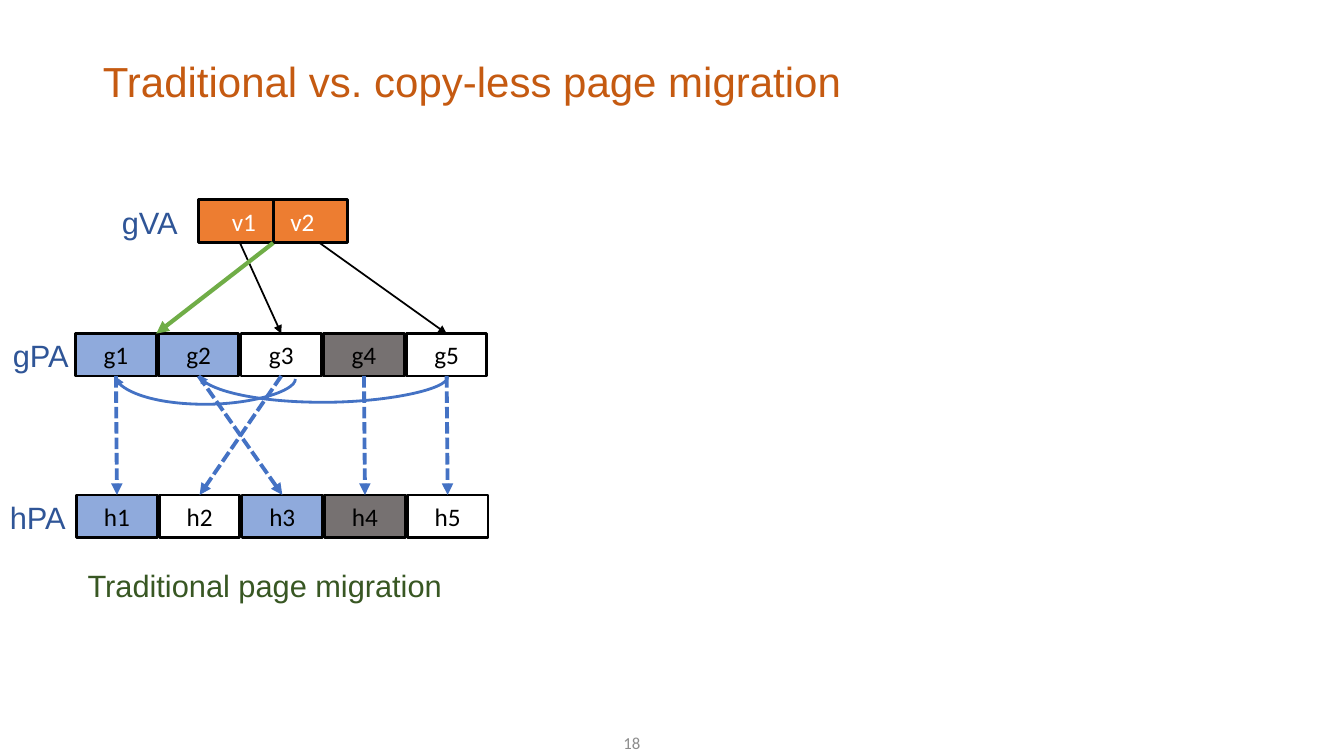
from lxml import etree
from pptx import Presentation
from pptx.dml.color import RGBColor
from pptx.enum.dml import MSO_LINE
from pptx.enum.shapes import MSO_CONNECTOR, MSO_SHAPE
from pptx.enum.text import MSO_ANCHOR, MSO_AUTO_SIZE, PP_ALIGN
from pptx.oxml.ns import qn
from pptx.util import Pt

PX = 9144  # EMU per px, 100 px to the inch
STRAIGHT, CURVE = MSO_CONNECTOR.STRAIGHT, MSO_CONNECTOR.CURVE
LEFT, CENTER, RIGHT = PP_ALIGN.LEFT, PP_ALIGN.CENTER, PP_ALIGN.RIGHT
MIDDLE, TOP = MSO_ANCHOR.MIDDLE, MSO_ANCHOR.TOP
SIDE_TOP, SIDE_BOTTOM = 0, 2
COLORS = {
    "title": "C55A11", "caption": "385723", "label": "2F5597", "number": "8C8C8C",
    "virtual": "ED7D31", "used": "8FAADC", "free": "FFFFFF", "reserved": "767171",
    "black": "000000", "white": "FFFFFF", "mapping": "4472C4", "remap": "70AD47",
}
CELL_WIDTH, CELL_HEIGHT, CELL_STEP = 80, 42, 82


def color(name):
    return RGBColor.from_string(COLORS[name])


def write(shape, text, size, font, color_name, align=LEFT, anchor=MIDDLE):
    frame = shape.text_frame
    frame.word_wrap = True
    frame.auto_size = MSO_AUTO_SIZE.NONE
    frame.vertical_anchor = anchor
    frame.text = text
    paragraph = frame.paragraphs[0]
    paragraph.alignment = align
    paragraph.font.size = Pt(size)
    paragraph.font.name = font
    paragraph.font.color.rgb = color(color_name)
    return paragraph


def add_text(slide, box, *text_format):
    shape = slide.shapes.add_textbox(*(length * PX for length in box))
    return write(shape, *text_format)


def add_heading(slide, box, text, color_name):
    paragraph = add_text(slide, box, text, 22, "Arial", color_name, LEFT, TOP)
    paragraph.line_spacing = 0.9
    paragraph.space_before = Pt(10)


def add_title(slide, box, text):
    title = slide.shapes.title
    title.left, title.top, title.width, title.height = (length * PX for length in box)
    write(title, text, 30, "Arial", "title").line_spacing = 0.9


def add_cell(slide, box, text, fill, text_color="black", align=CENTER):
    cell = slide.shapes.add_shape(MSO_SHAPE.RECTANGLE, *(length * PX for length in box))
    cell.shadow.inherit = False
    cell.fill.solid()
    cell.fill.fore_color.rgb = color(fill)
    cell.line.color.rgb = color("black")
    cell.line.width = Pt(2)
    write(cell, text, 18, "Calibri", text_color, align)
    return cell


def add_physical_row(slide, left, top, prefix, fills):
    return [
        add_cell(slide, (left + index * CELL_STEP, top, CELL_WIDTH, CELL_HEIGHT),
                 f"{prefix}{index + 1}", fill)
        for index, fill in enumerate(fills)
    ]


def add_virtual_row(slide, left, top, width, height):
    """Two adjoining cells whose labels lean towards the shared edge."""
    half = width // 2
    first = add_cell(slide, (left, top, half, height), "v1", "virtual", "white", RIGHT)
    second = add_cell(slide, (left + half, top, half, height), "v2", "virtual", "white", LEFT)
    first.text_frame.margin_right = second.text_frame.margin_left = 17 * PX


def add_arrow(slide, start, end, color_name, width, kind=STRAIGHT):
    arrow = slide.shapes.add_connector(kind, *(length * PX for length in (*start, *end)))
    arrow.line.color.rgb = color(color_name)
    arrow.line.width = Pt(width)
    etree.SubElement(arrow.line._get_or_add_ln(), qn("a:tailEnd"), type="triangle")
    etree.SubElement(arrow._element.spPr, qn("a:effectLst"))
    return arrow


def add_mapping(slide, guest, host):
    arrow = add_arrow(slide, (0, 0), (0, 0), "mapping", 2.75)
    arrow.line.dash_style = MSO_LINE.SQUARE_DOT
    arrow.begin_connect(guest, SIDE_BOTTOM)
    arrow.end_connect(host, SIDE_TOP)


def add_copy_curve(slide, source, target, y, depth=25):
    """Curve hanging below y: a 2 px wide upright connector turned by 90 degrees."""
    middle, half_span = (source + target) // 2, (source - target) // 2
    curve = add_arrow(slide, (middle + 1, y - half_span), (middle - 1, y + half_span),
                      "mapping", 2, CURVE)
    properties = curve._element.spPr
    properties.find(qn("a:xfrm")).set("rot", "5400000")
    adjustments = properties.find(qn("a:prstGeom")).get_or_add_avLst()
    etree.SubElement(adjustments, qn("a:gd"), name="adj1", fmla=f"val {-depth * 50000}")


def add_traditional_migration(slide, left, top):
    """Diagram of the three address spaces, placed from the left end of its labels."""
    guest_top, host_top = top + 133, top + 293
    add_virtual_row(slide, left + 197, top, 148, 43)
    guests = add_physical_row(slide, left + 75, guest_top, "g",
                              ["used", "used", "free", "reserved", "free"])
    hosts = add_physical_row(slide, left + 76, host_top, "h",
                             ["used", "free", "used", "reserved", "free"])

    virtual_bottom = top + 43
    for start, guest in ((238, guests[2]), (317, guests[4])):
        arrow = add_arrow(slide, (left + start, virtual_bottom), (0, 0), "black", 1.25)
        arrow.end_connect(guest, SIDE_TOP)
    guest_bottom = guest_top + CELL_HEIGHT
    add_copy_curve(slide, left + 293, left + 115, guest_bottom + 2)
    add_copy_curve(slide, left + 444, left + 198, guest_bottom)
    for guest, host in zip(guests, (0, 2, 1, 3, 4)):
        add_mapping(slide, guest, hosts[host])
    add_arrow(slide, (left + 271, virtual_bottom), (left + 155, guest_top), "remap", 3)

    for text, x, y in (("gVA", 111, 3), ("gPA", 3, 135), ("hPA", 0, 296)):
        add_heading(slide, (left + x, top + y, 94, 58), text, "label")
    add_heading(slide, (left + 77, top + 363, 418, 65), "Traditional page migration", "caption")


def main():
    presentation = Presentation()
    presentation.slide_width, presentation.slide_height = 1333 * PX, 750 * PX
    slide = presentation.slides.add_slide(presentation.slide_layouts[5])
    add_title(slide, (92, 40, 1150, 87), "Traditional vs. copy-less page migration")
    add_traditional_migration(slide, 0, 198)
    add_text(slide, (345, 717, 300, 40), "18", 12, "Calibri", "number", RIGHT)
    presentation.save("out.pptx")


if __name__ == "__main__":
    main()
